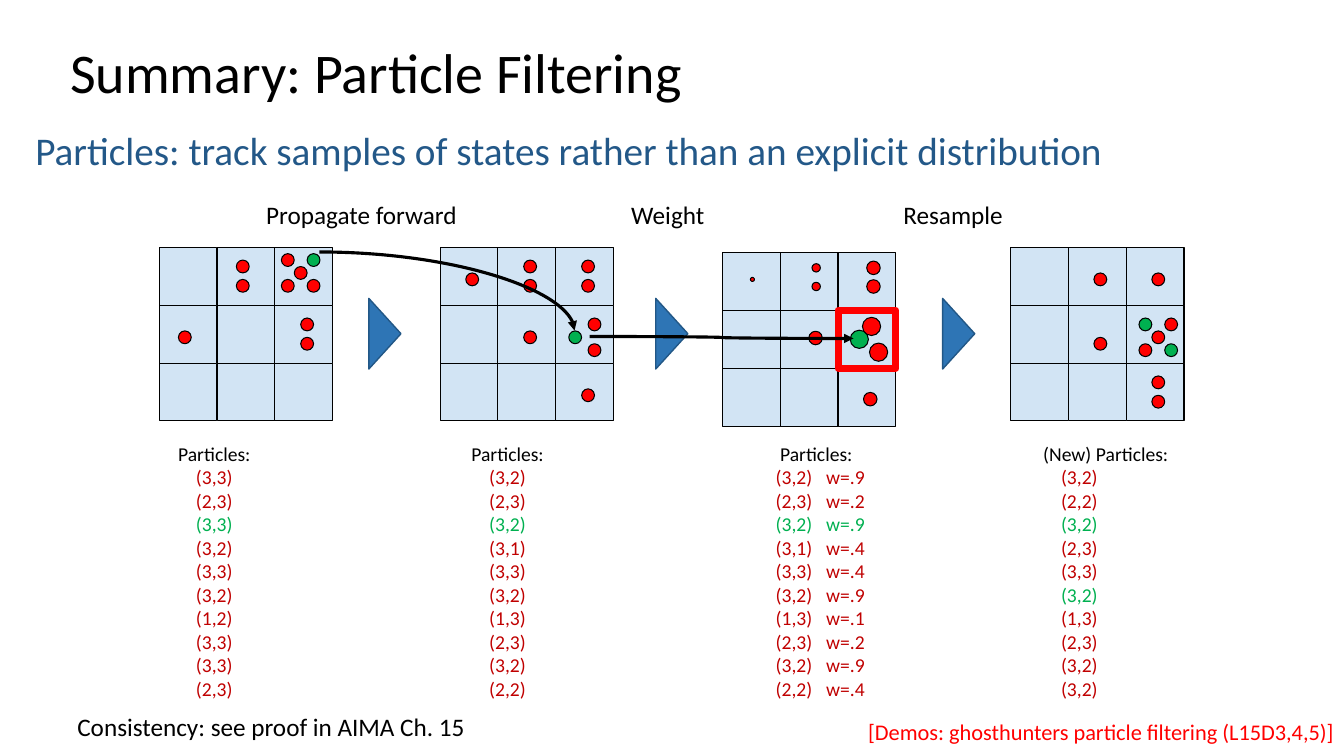
import pptx
import pptx.util
import pptx.dml.color
import pptx.enum.shapes
import pptx.enum.text
import pptx.oxml
import pptx.oxml.ns
from dataclasses import dataclass

Cm = pptx.util.Cm
Pt = pptx.util.Pt
SHAPE = pptx.enum.shapes.MSO_SHAPE
ALIGN = pptx.enum.text.PP_ALIGN
ANCHOR = pptx.enum.text.MSO_ANCHOR


@dataclass
class Theme:
    font: str = "Calibri"
    ink: str = "000000"
    lead: str = "235888"
    cell: str = "D2E4F4"
    wedge: str = "2E75B5"
    edge: str = "225786"
    red: str = "FF0000"
    green: str = "00B050"
    deep: str = "C00000"
    title: int = 40
    sub: int = 28
    label: int = 18
    demo: int = 16
    item: int = 14


T = Theme()
CELL = 1.46       # side of one grid cell, cm
UNIT = CELL / 9   # dots sit on a lattice of nine steps per cell


def rgb(code):
    return pptx.dml.color.RGBColor.from_string(code)


def style(par, size, color):
    for run in par.runs:
        run.font.name = T.font
        run.font.size = Pt(size)
        run.font.color.rgb = rgb(color)


def text(slide, box, words, size, color=T.ink, align=ALIGN.LEFT, wrap=True):
    frame = slide.shapes.add_textbox(*map(Cm, box)).text_frame
    frame.word_wrap = wrap
    frame.text = words
    for par in frame.paragraphs:
        par.alignment = align
        style(par, size, color)
    return frame


def shape(slide, kind, box, fill, line, width):
    item = slide.shapes.add_shape(kind, *map(Cm, box))
    item.shadow.inherit = False
    if fill:
        item.fill.solid()
        item.fill.fore_color.rgb = rgb(fill)
    else:
        item.fill.background()
    item.line.color.rgb = rgb(line)
    item.line.width = Pt(width)
    return item


def dot(slide, left, top, x, y, size=2, color=T.red):
    box = [left + (x - size / 2) * UNIT, top + (y - size / 2) * UNIT,
           size * UNIT, size * UNIT]
    shape(slide, SHAPE.OVAL, box, color, T.ink, 0.75)


def board(slide, left, top, dots, mark=None):
    """Three by three grid with its particles; mark is a framed cell."""
    for row in range(3):
        for col in range(3):
            box = [left + col * CELL, top + row * CELL, CELL, CELL]
            shape(slide, SHAPE.RECTANGLE, box, T.cell, T.ink, 0.75)
    if mark:
        col, row = mark
        box = [left + col * CELL, top + row * CELL, CELL, CELL]
        shape(slide, SHAPE.RECTANGLE, box, None, T.red, 5)
    for spot in dots:
        dot(slide, left, top, *spot)


def wedge(slide, x, y):
    """Step marker pointing right, centred on x, y."""
    wide, high = 1.78, 0.81
    item = shape(slide, SHAPE.ISOSCELES_TRIANGLE,
                 [x - wide / 2, y - high / 2, wide, high], T.wedge, T.edge, 1)
    item.rotation = 90


def roster(slide, box, head, shift, rows, picks):
    """Heading over indented particles; picks are the green rows."""
    frame = text(slide, box, "\n".join([head] + rows.split("|")), T.item)
    for num, par in enumerate(frame.paragraphs):
        props = par._p.get_or_add_pPr()
        props.set("marL", str(Cm(0.45 if num else shift)))
        props.set("indent", "0")
        if "\t" in par.text:
            props.append(pptx.oxml.parse_xml(
                f'<a:tabLst {pptx.oxml.ns.nsdecls("a")}>'
                f'<a:tab pos="{Cm(1.61)}" algn="l"/></a:tabLst>'))
        if num:
            style(par, T.item, T.green if num in picks else T.deep)


def arrow(slide, start, end, preset):
    link = slide.shapes.add_connector(
        pptx.enum.shapes.MSO_CONNECTOR.CURVE, *map(Cm, start + end))
    link.line.color.rgb = rgb(T.ink)
    link.line.width = Pt(2.25)
    props = link._element.spPr
    props.find(pptx.oxml.ns.qn("a:prstGeom")).set("prst", preset)
    space = pptx.oxml.ns.nsdecls("a")
    props.find(pptx.oxml.ns.qn("a:ln")).append(
        pptx.oxml.parse_xml(f'<a:tailEnd {space} type="triangle"/>'))
    props.append(pptx.oxml.parse_xml(f"<a:effectLst {space}/>"))


def heads(slide, left, top):
    """Title and lead line."""
    frame = text(slide, [left + 0.88, top, 29.21, 1.75],
                 "Summary: Particle Filtering", T.title)
    frame.vertical_anchor = ANCHOR.MIDDLE
    frame.paragraphs[0].line_spacing = 0.9
    frame = text(slide, [left, top + 2.16, 32.6, 1.4],
                 "Particles: track samples of states rather than an explicit distribution",
                 T.sub, T.lead)
    frame.paragraphs[0].line_spacing = 0.9


G = (2, T.green)
BIG = 2.83
# Per stage: grid left, grid top, dots (x, y, size, colour), framed cell
BOARDS = [
    (4.01, 6.23, [(13, 3), (13, 6), (20, 2), (24, 2, *G), (22, 4), (20, 6),
                  (24, 6), (23, 12), (23, 15), (4, 14)], None),
    (11.09, 6.23, [(21, 14, *G), (24, 12), (24, 16), (23, 3), (14, 14),
                   (23, 23), (5, 5), (23, 6), (14, 6), (14, 3)], None),
    (18.2, 6.36, [(21.3, 13.5, BIG, T.green), (24.3, 15.5, BIG), (23.5, 2.4, 2.1),
                  (14.5, 13.3, 2.1), (23, 22.8, 2.1), (23.5, 5.3, 2.1),
                  (14.6, 5.3, 1.3), (14.6, 2.4, 1.3), (4.7, 4.2, 0.63),
                  (23.2, 11.5, BIG)], (2, 1)),
    (25.46, 6.23, [(21, 16), (25, 12), (23, 14), (14, 15), (23, 5), (21, 12, *G),
                   (23, 21), (25, 16, *G), (23, 24), (14, 5)], None),
]
# Per stage: list left, heading, heading indent, rows, green rows
LISTS = [
    (4.24, "Particles:", 0,
     "(3,3)|(2,3)|(3,3)|(3,2)|(3,3)|(3,2)|(1,2)|(3,3)|(3,3)|(2,3)", [3]),
    (11.63, "Particles:", 0,
     "(3,2)|(2,3)|(3,2)|(3,1)|(3,3)|(3,2)|(1,3)|(2,3)|(3,2)|(2,2)", [3]),
    (18.85, "Particles:", 0.56,
     "(3,2)\tw=.9|(2,3)\tw=.2|(3,2)\tw=.9|(3,1)\tw=.4|(3,3)\tw=.4|"
     "(3,2)\tw=.9|(1,3)\tw=.1|(2,3)\tw=.2|(3,2)\tw=.9|(2,2)\tw=.4", [3]),
    (26.04, "(New) Particles:", 0,
     "(3,2)|(2,2)|(3,2)|(2,3)|(3,3)|(3,2)|(1,3)|(2,3)|(3,2)|(3,2)", [3, 6]),
]
STEPS = [(9.11, "Propagate forward"), (16.83, "Weight"), (24.02, "Resample")]


def flow(slide, top):
    """Step names, grids, markers, arrows and particle lists."""
    for num, (mid, name) in enumerate(STEPS):
        text(slide, [mid - 2.75, top, 5.5, 1.02], name, T.label, align=ALIGN.CENTER)
        wedge(slide, 9.7 + num * 7.23, top + 3.51)
    for place in BOARDS:
        board(slide, *place)
    arrow(slide, (8.05, 6.35), (14.48, 8.33), "curvedConnector2")
    arrow(slide, (14.86, 8.48), (21.51, 8.53), "curvedConnector3")
    for left, *rest in LISTS:
        roster(slide, [left, top + 6.1, 3.81, 6.83], *rest)


def foot(slide, top):
    """Closing remarks."""
    text(slide, [1.7, top, 11.46, 1.02], "Consistency: see proof in AIMA Ch. 15",
         T.label, wrap=False)
    text(slide, [20.75, top + 0.17, 13.12, 0.94],
         "[Demos: ghosthunters particle filtering (L15D3,4,5)]",
         T.demo, T.red, ALIGN.RIGHT)


def main():
    deck = pptx.Presentation()
    deck.slide_width, deck.slide_height = Cm(33.87), Cm(19.05)
    slide = deck.slides.add_slide(deck.slide_layouts[6])
    heads(slide, 0.64, 1.02)
    flow(slide, 4.9)
    foot(slide, 17.81)
    deck.save("out.pptx")


if __name__ == "__main__":
    main()
